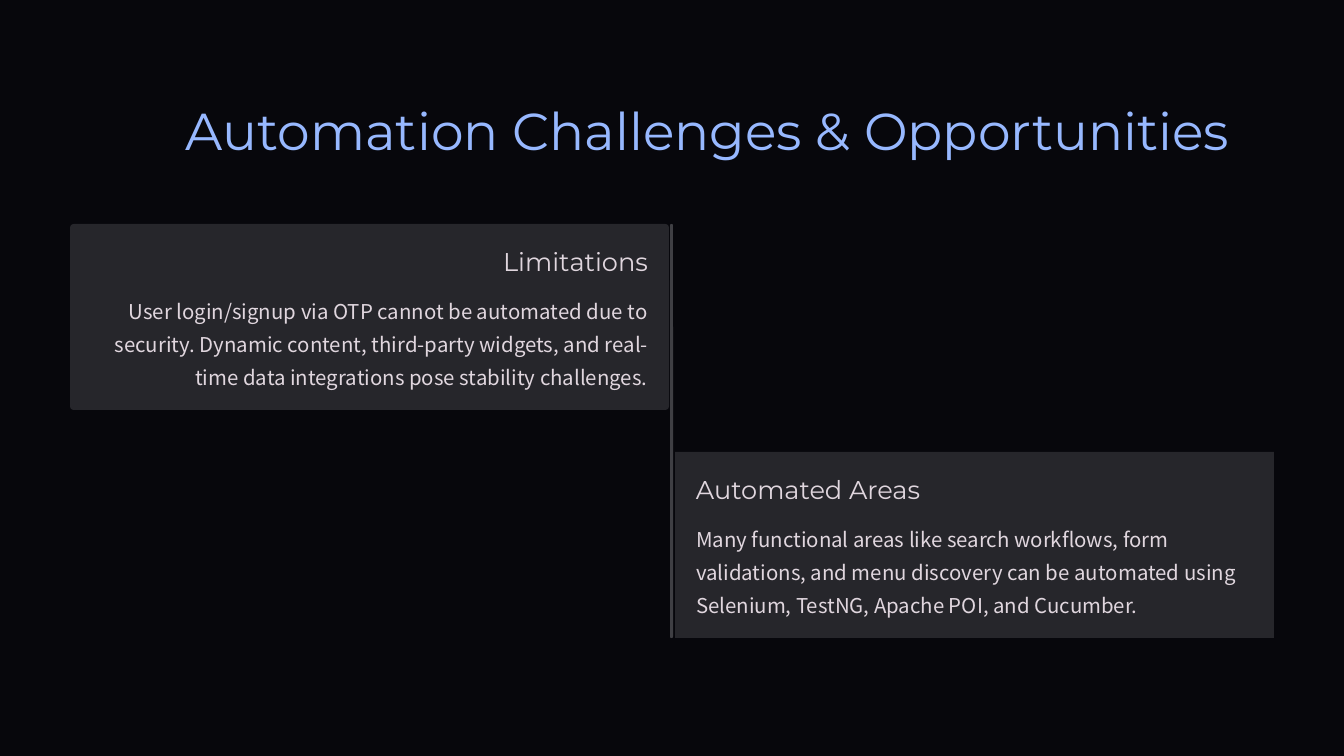
from dataclasses import dataclass

from pptx import Presentation
from pptx.dml.color import RGBColor
from pptx.enum.shapes import MSO_SHAPE
from pptx.enum.text import PP_ALIGN
from pptx.util import Emu, Pt

RECTANGLE = MSO_SHAPE.RECTANGLE
ROUNDED = MSO_SHAPE.ROUNDED_RECTANGLE
LEFT, RIGHT = PP_ALIGN.LEFT, PP_ALIGN.RIGHT

EMU_PER_PX = 914400 / 84
CARD_WIDTH, CARD_HEIGHT = 599, 186
PADDING = 21
HEADING_WIDTH, HEADING_HEIGHT = 260, 33
BODY_OFFSET, BODY_HEIGHT = 66, 100

BACKGROUND, CARD_FILL, DIVIDER_FILL = "07070C", "26262B", "3F3F44"
TITLE_COLOR, TEXT_COLOR = "97B8FF", "E0D6DE"


@dataclass(frozen=True)
class TextStyle:
    font: str
    size: float
    line_height: float
    color: str
    wrap: bool = False


@dataclass(frozen=True)
class Card:
    left: int
    top: int
    outline: MSO_SHAPE
    align: PP_ALIGN
    heading: str
    body: str


TITLE = TextStyle("Montserrat", 44.5, 55.5, TITLE_COLOR)
HEADING = TextStyle("Montserrat", 22, 27.5, TEXT_COLOR)
BODY = TextStyle("Noto Sans CJK TC", 17.5, 28.5, TEXT_COLOR, wrap=True)

CARDS = [
    Card(70, 224, ROUNDED, RIGHT, "Limitations",
         "User login/signup via OTP cannot be automated due to security. "
         "Dynamic content, third-party widgets, and real-time data "
         "integrations pose stability challenges."),
    Card(675, 452, RECTANGLE, LEFT, "Automated Areas",
         "Many functional areas like search workflows, form validations, "
         "and menu discovery can be automated using Selenium, TestNG, "
         "Apache POI, and Cucumber."),
]


def px(value: int) -> Emu:
    return Emu(round(value * EMU_PER_PX))


def rgb(value: str) -> RGBColor:
    return RGBColor.from_string(value)


def add_panel(slide, outline: MSO_SHAPE, left: int, top: int, width: int,
              height: int, fill: str, rounding: float = 0):
    shape = slide.shapes.add_shape(outline, px(left), px(top), px(width), px(height))
    shape.shadow.inherit = False
    shape.fill.solid()
    shape.fill.fore_color.rgb = rgb(fill)
    shape.line.fill.background()
    if outline == ROUNDED:
        shape.adjustments[0] = rounding


def add_text(slide, text: str, style: TextStyle, left: int, top: int,
             width: int, height: int, align: PP_ALIGN = LEFT):
    box = slide.shapes.add_textbox(px(left), px(top), px(width), px(height))
    frame = box.text_frame
    frame.margin_left = frame.margin_right = 0
    frame.margin_top = frame.margin_bottom = 0
    frame.word_wrap = style.wrap
    paragraph = frame.paragraphs[0]
    paragraph.text = text
    paragraph.alignment = align
    paragraph.line_spacing = Pt(style.line_height)
    paragraph.font.name = style.font
    paragraph.font.size = Pt(style.size)
    paragraph.font.color.rgb = rgb(style.color)


def add_card(slide, card: Card):
    add_panel(slide, card.outline, card.left, card.top, CARD_WIDTH, CARD_HEIGHT,
              CARD_FILL, rounding=0.02)
    text_left = card.left + PADDING
    text_width = CARD_WIDTH - 2 * PADDING
    heading_left = text_left
    if card.align == RIGHT:
        heading_left += text_width - HEADING_WIDTH
    add_text(slide, card.heading, HEADING, heading_left, card.top + PADDING,
             HEADING_WIDTH, HEADING_HEIGHT, card.align)
    add_text(slide, card.body, BODY, text_left, card.top + BODY_OFFSET,
             text_width, BODY_HEIGHT, card.align)


def main():
    presentation = Presentation()
    presentation.slide_width, presentation.slide_height = px(1344), px(756)
    slide = presentation.slides.add_slide(presentation.slide_layouts[6])

    # Dark background
    slide.background.fill.solid()
    slide.background.fill.fore_color.rgb = rgb(BACKGROUND)

    # Title
    add_text(slide, "Automation Challenges & Opportunities", TITLE, 186, 96, 1067, 66)

    # Central divider and the cards on either side
    add_panel(slide, ROUNDED, 670, 224, 3, 414, DIVIDER_FILL, rounding=0.5)
    for card in CARDS:
        add_card(slide, card)

    presentation.save("out.pptx")


if __name__ == "__main__":
    main()
